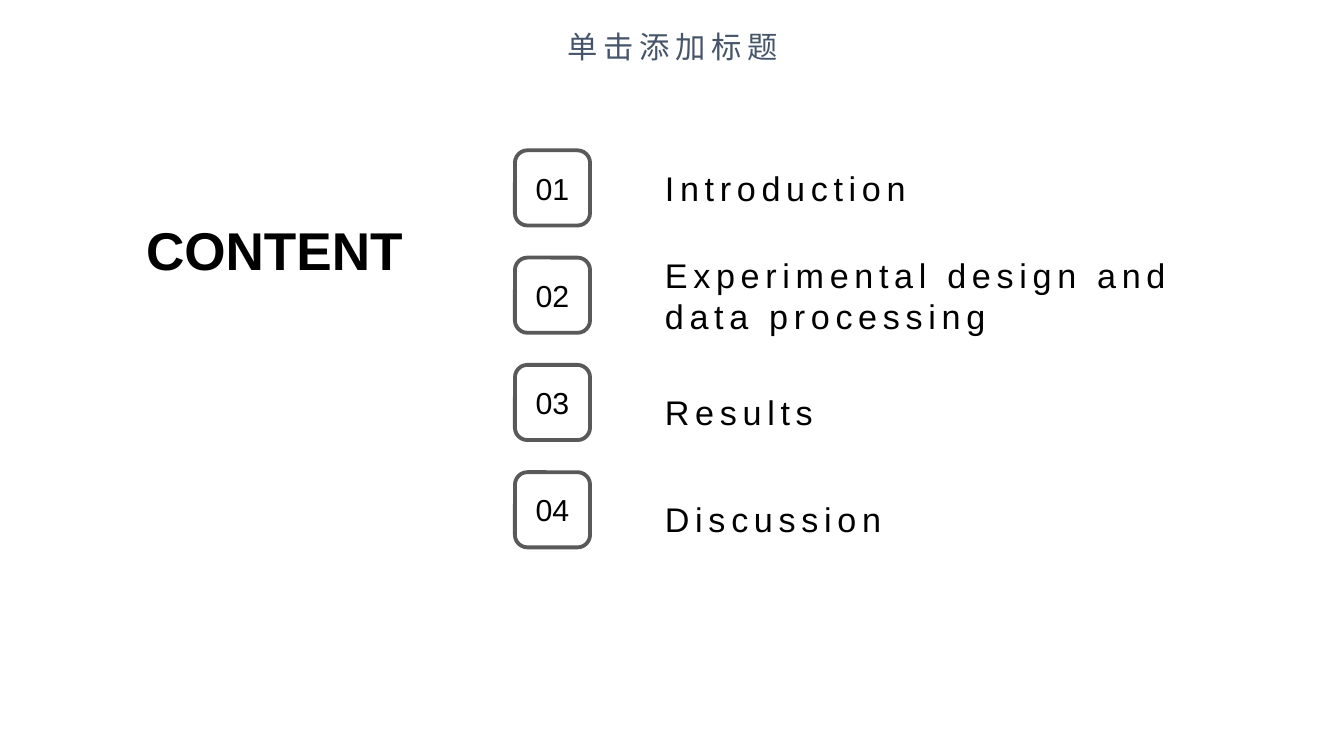
from lxml.etree import SubElement
from pptx import Presentation
from pptx.dml.color import RGBColor
from pptx.enum.shapes import MSO_SHAPE
from pptx.enum.text import MSO_ANCHOR, MSO_AUTO_SIZE, PP_ALIGN
from pptx.oxml.ns import qn
from pptx.util import Inches, Pt

WIDTH, HEIGHT = 9.84, 5.51
HUES = {"ink": "000000", "head": "46556A", "frame": "595959"}
SANS, HAN = "Arial", "Noto Sans CJK SC"
PITCH, SIDE, INDENT = 0.785, 0.55, 1.0
ENTRIES = [
    ("Introduction", 2.03, 0.4, 0),
    ("Experimental design and data processing", 4.53, 0.71, 0),
    ("Results", 1.32, 0.4, 0.07),
    ("Discussion", 1.82, 0.4, 0.07),
]


def color(name):
    """Return a named colour."""
    return RGBColor.from_string(HUES[name])


def place(shape, left, top, width, height):
    """Move and size a shape in inches."""
    shape.left, shape.top = Inches(left), Inches(top)
    shape.width, shape.height = Inches(width), Inches(height)


def write(shape, text, size, face=SANS, hue="ink", bold=False, space=0,
          wrap=False, grow=True, anchor=MSO_ANCHOR.TOP, align=PP_ALIGN.LEFT):
    """Put one formatted paragraph in a shape."""
    frame = shape.text_frame
    frame.text = text
    frame.word_wrap = wrap
    frame.auto_size = MSO_AUTO_SIZE.SHAPE_TO_FIT_TEXT if grow else MSO_AUTO_SIZE.NONE
    frame.vertical_anchor = anchor
    para = frame.paragraphs[0]
    para.alignment = align
    font = para.font
    font.name, font.size, font.bold = face, Pt(size), bold
    font.color.rgb = color(hue)
    props = para.runs[0]._r.get_or_add_rPr()
    if space:
        props.set("spc", str(space * 100))
    if face == HAN:
        SubElement(props, qn("a:ea")).set("typeface", face)


def add_head(slide, left, top, width, height):
    """Add the page heading."""
    head = slide.shapes.add_textbox(0, 0, 0, 0)
    write(head, "单击添加标题", 16, HAN, "head", space=3)
    place(head, left, top, width, height)


def add_title(slide, left, top, width, height):
    """Format the title placeholder."""
    title = slide.shapes.title
    write(title, "CONTENT", 28, bold=True)
    place(title, left, top, width, height)


def add_badge(slide, left, top, number):
    """Add a rounded frame with an entry number."""
    badge = slide.shapes.add_shape(MSO_SHAPE.ROUNDED_RECTANGLE, 0, 0, 0, 0)
    place(badge, left, top, SIDE, SIDE)
    badge.shadow.inherit = False
    badge.fill.background()
    badge.line.color.rgb = color("frame")
    badge.line.width = Pt(2)
    write(badge, f"{number:02d}", 16, wrap=True, grow=False,
          anchor=MSO_ANCHOR.MIDDLE, align=PP_ALIGN.CENTER)


def add_list(slide, left, top):
    """Add the numbered entries at an even pitch."""
    for row, (text, width, height, drop) in enumerate(ENTRIES):
        edge = top + row * PITCH
        add_badge(slide, left, edge, row + 1)
        label = slide.shapes.add_textbox(0, 0, 0, 0)
        write(label, text, 18, space=3, wrap=height > SIDE,
              anchor=MSO_ANCHOR.MIDDLE)
        place(label, left + INDENT, edge + (SIDE - height) / 2 + drop,
              width, height)


def main():
    """Build and save the contents slide."""
    deck = Presentation()
    deck.slide_width, deck.slide_height = Inches(WIDTH), Inches(HEIGHT)
    slide = deck.slides.add_slide(deck.slide_layouts[5])
    add_head(slide, 4.06, 0.16, 1.8, 0.37)
    add_title(slide, 0.97, 1.54, 2.16, 0.57)
    add_list(slide, 3.77, 1.1)
    deck.save("out.pptx")


if __name__ == "__main__":
    main()
